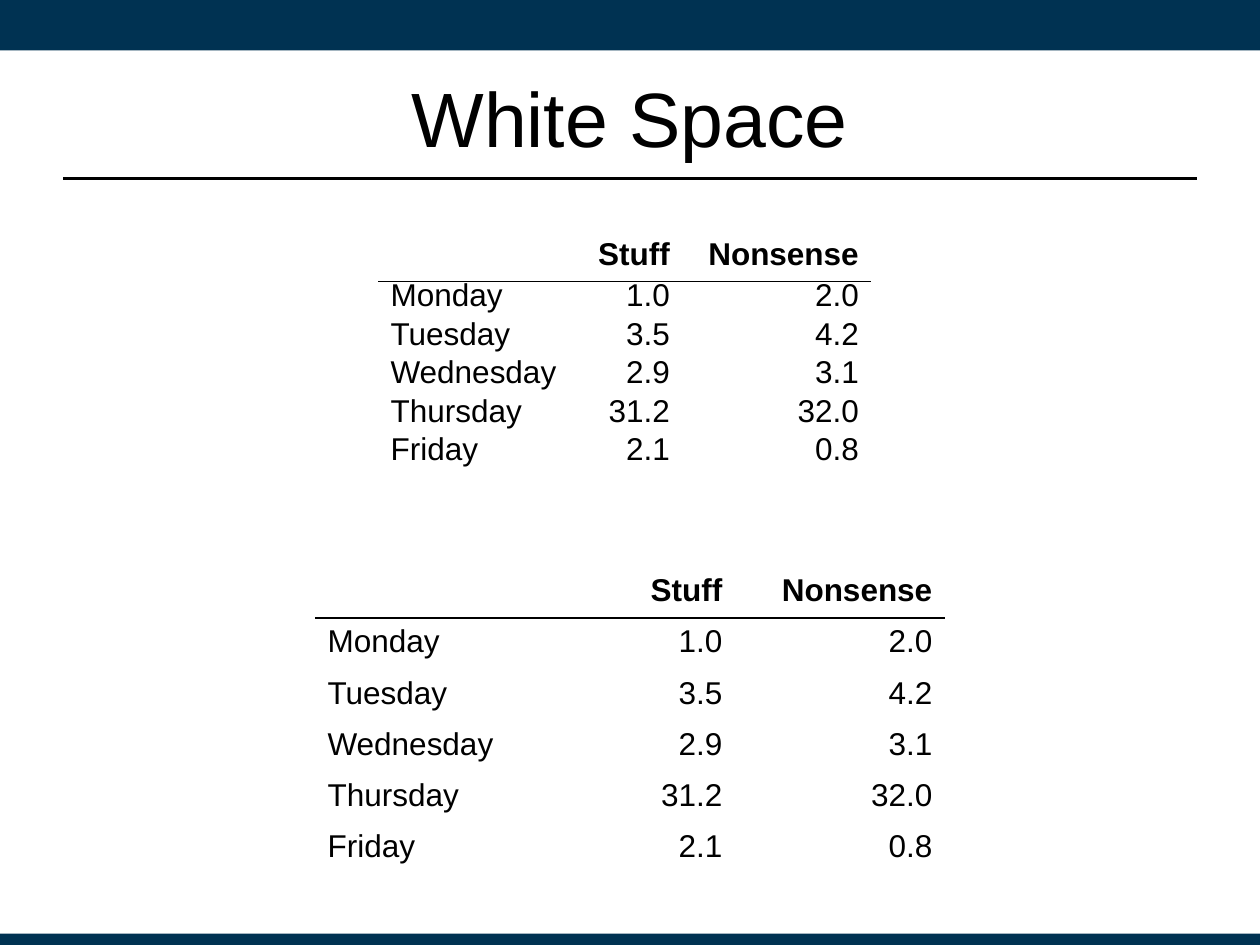
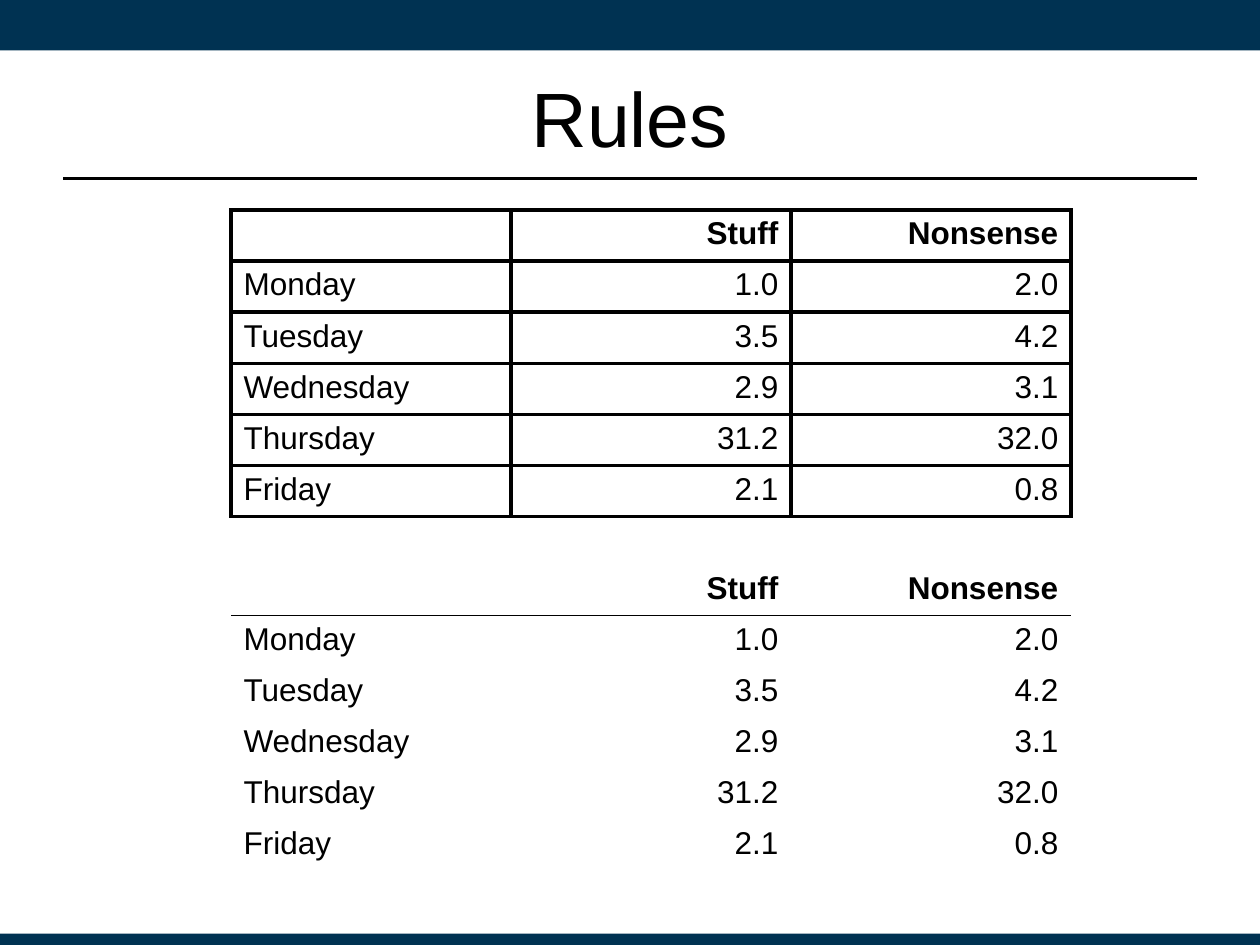
from lxml import etree
from pptx import Presentation
from pptx.dml.color import RGBColor
from pptx.enum.shapes import MSO_CONNECTOR, MSO_SHAPE
from pptx.enum.text import MSO_ANCHOR, PP_ALIGN
from pptx.oxml.ns import qn
from pptx.util import Inches, Pt

STRAIGHT = MSO_CONNECTOR.STRAIGHT
RECTANGLE = MSO_SHAPE.RECTANGLE
MIDDLE = MSO_ANCHOR.MIDDLE
LEFT, CENTER, RIGHT = PP_ALIGN.LEFT, PP_ALIGN.CENTER, PP_ALIGN.RIGHT

COLUMNS, ROWS = 120, 90
WEEK = [
    ("", "Stuff", "Nonsense"),
    ("Monday", "1.0", "2.0"),
    ("Tuesday", "3.5", "4.2"),
    ("Wednesday", "2.9", "3.1"),
    ("Thursday", "31.2", "32.0"),
    ("Friday", "2.1", "0.8"),
]


def color(value):
    return RGBColor.from_string(value)


class Deck:
    font = "Arial"
    navy, black, white = "003252", "000000", "FFFFFF"
    title_size, table_size = 44, 18
    open_row, tight_row, tight_spacing = 4.87, 3.67, 14.6
    header_rule, grid_rule = 1, 2.25

    def __init__(self):
        self.presentation = Presentation()
        self.presentation.slide_width = Inches(10)
        self.presentation.slide_height = Inches(7.5)
        self.slide = None

    def x(self, columns):
        return round(self.presentation.slide_width * columns / COLUMNS)

    def y(self, rows):
        return round(self.presentation.slide_height * rows / ROWS)

    def box(self, left, top, width, height):
        return self.x(left), self.y(top), self.x(width), self.y(height)

    def new_slide(self, title):
        layout = self.presentation.slide_layouts[6]
        self.slide = self.presentation.slides.add_slide(layout)
        self.band(0, 4.8)
        self.band(88.92, 1.08)
        self.rule(6, 114, 17)
        self.title(title)

    def band(self, top, height):
        shape = self.slide.shapes.add_shape(RECTANGLE, *self.box(0, top, COLUMNS, height))
        shape.shadow.inherit = False
        shape.fill.solid()
        shape.fill.fore_color.rgb = color(self.navy)
        shape.line.fill.background()

    def rule(self, start, end, row):
        connector = self.slide.shapes.add_connector(
            STRAIGHT, self.x(start), self.y(row), self.x(end), self.y(row))
        connector.line.color.rgb = color(self.black)
        connector.line.width = Pt(1.25)
        etree.SubElement(connector._element.spPr, qn("a:effectLst"))

    def title(self, text):
        text_frame = self.slide.shapes.add_textbox(*self.box(6, 3.6, 108, 15)).text_frame
        text_frame.word_wrap = True
        text_frame.vertical_anchor = MIDDLE
        text_frame.text = text
        self.style(text_frame.paragraphs[0], self.title_size, CENTER)

    def style(self, paragraph, size, alignment, bold=False):
        paragraph.alignment = alignment
        for run in paragraph.runs:
            run.font.name = self.font
            run.font.size = Pt(size)
            run.font.bold = bold
            run.font.color.rgb = color(self.black)

    def table(self, left, top, widths, row_height=open_row, line_spacing=None, boxed=False):
        frame = self.slide.shapes.add_table(
            len(WEEK), len(widths),
            *self.box(left, top, sum(widths), row_height * len(WEEK)))
        table = frame.table
        table.first_row = table.horz_banding = False
        for column, width in zip(table.columns, widths):
            column.width = self.x(width)
        for row_index, values in enumerate(WEEK):
            table.rows[row_index].height = self.y(row_height)
            for column_index, value in enumerate(values):
                cell = table.cell(row_index, column_index)
                cell.text_frame.text = value
                paragraph = cell.text_frame.paragraphs[0]
                header = row_index == 0
                self.style(paragraph, self.table_size, RIGHT if column_index else LEFT, header)
                if line_spacing and not header:
                    paragraph.line_spacing = Pt(line_spacing)
                self.borders(cell, row_index, boxed)
                cell.fill.solid()
                cell.fill.fore_color.rgb = color(self.white)

    def borders(self, cell, row_index, boxed):
        properties = cell._tc.get_or_add_tcPr()
        header_side = {0: "lnB", 1: "lnT"}.get(row_index)
        for side in ("lnL", "lnR", "lnT", "lnB"):
            line = etree.SubElement(properties, qn(f"a:{side}"))
            if boxed or side == header_side:
                width = self.grid_rule if boxed else self.header_rule
                line.set("w", str(Pt(width)))
                fill = etree.SubElement(line, qn("a:solidFill"))
                etree.SubElement(fill, qn("a:srgbClr"), val=self.black)
            else:
                etree.SubElement(line, qn("a:noFill"))


def main():
    deck = Deck()

    deck.new_slide("White Space")
    deck.table(30, 54, [20] * 3)
    deck.table(36, 22, [19, 10, 18], deck.tight_row, deck.tight_spacing)

    deck.new_slide("Rules")
    thirds = [80 / 3] * 3
    deck.table(22, 53.75, thirds)
    deck.table(22, 20, thirds, boxed=True)

    deck.presentation.save("out.pptx")


if __name__ == "__main__":
    main()
